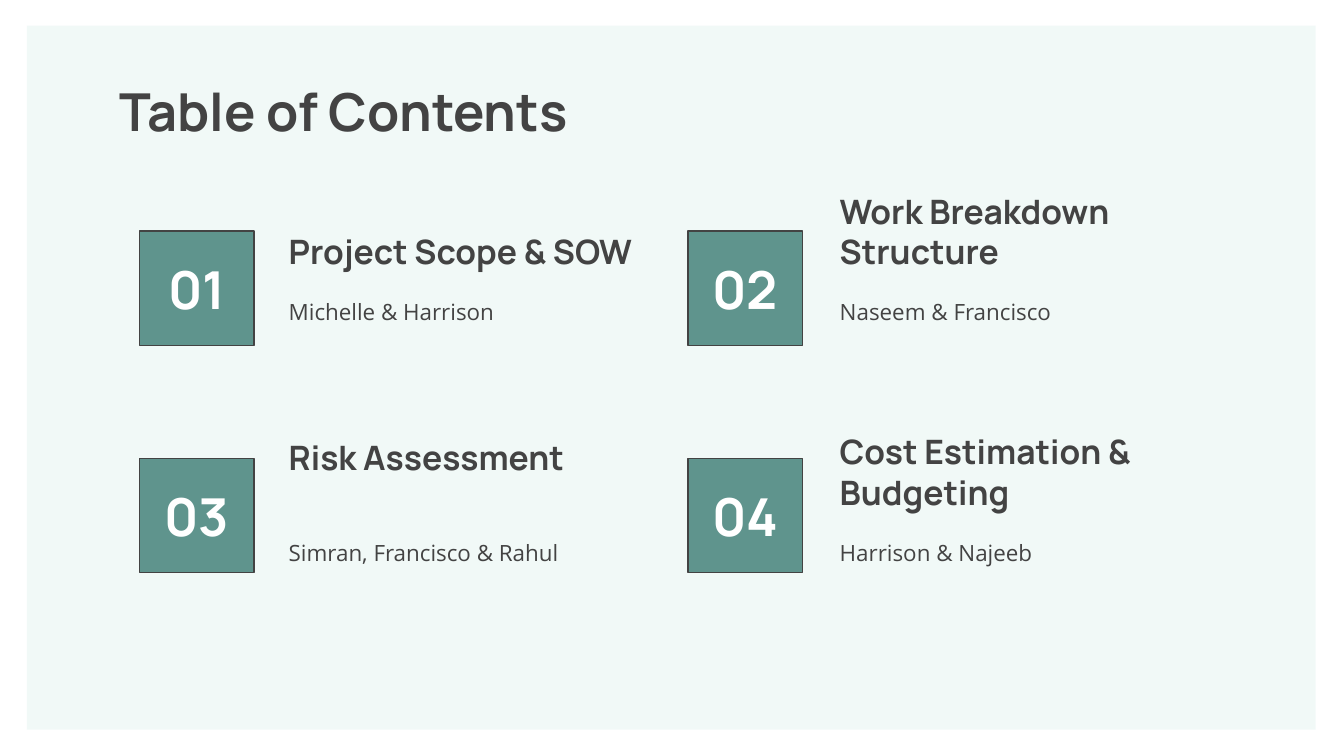
from lxml import etree
from pptx import Presentation
from pptx.dml.color import RGBColor
from pptx.enum.shapes import MSO_SHAPE
from pptx.enum.text import MSO_ANCHOR, PP_ALIGN
from pptx.oxml.ns import qn
from pptx.util import Inches, Pt

RECTANGLE = MSO_SHAPE.RECTANGLE
TOP, MIDDLE, BOTTOM = MSO_ANCHOR.TOP, MSO_ANCHOR.MIDDLE, MSO_ANCHOR.BOTTOM
LEFT, CENTER = PP_ALIGN.LEFT, PP_ALIGN.CENTER

COLORS = {"panel": "98D3C7", "badge": "5F948D", "ink": "434343", "white": "FFFFFF"}
HEADING_FONT, BODY_FONT = "Manrope", "Open Sans"

BADGE_SIZE = 0.85
TEXT_WIDTH = 2.83
NAMES_HEIGHT = 0.63
# Left edges of the badge and of the text in each column
COLUMNS = [(1.04, 2.05), (5.12, 6.15)]
# Top edges of the badge and of the names in each row
ROWS = [(1.72, 2.12), (3.41, 3.91)]
# Heading, names, heading height, and how far the heading is raised above the names
ENTRIES = [
    ("Project Scope & SOW", "Michelle & Harrison", 0.85, 0),
    ("Work Breakdown Structure", "Naseem & Francisco", 0.49, 0),
    ("Risk Assessment", "Simran, Francisco & Rahul", 0.77, 0.26),
    ("Cost Estimation & Budgeting", "Harrison & Najeeb", 0.77, 0),
]


def color(name):
    return RGBColor.from_string(COLORS[name])


def write(shape, text, size, font_name=HEADING_FONT, bold=True, color_name="ink",
          anchor=TOP, alignment=LEFT):
    frame = shape.text_frame
    frame.word_wrap = True
    frame.vertical_anchor = anchor
    frame.margin_left = frame.margin_right = Inches(0.1)
    frame.margin_top = frame.margin_bottom = Inches(0.1)
    frame.text = text
    paragraph = frame.paragraphs[0]
    paragraph.alignment = alignment
    font = paragraph.runs[0].font
    font.name, font.size, font.bold = font_name, Pt(size), bold
    font.color.rgb = color(color_name)


def add_text(slide, box, text, size, **style):
    shape = slide.shapes.add_textbox(*map(Inches, box))
    write(shape, text, size, **style)


def add_rectangle(slide, box, fill_name):
    shape = slide.shapes.add_shape(RECTANGLE, *map(Inches, box))
    shape.shadow.inherit = False
    shape.fill.solid()
    shape.fill.fore_color.rgb = color(fill_name)
    return shape


def add_panel(slide, box):
    """Add the pale background panel, 13 % opaque."""
    panel = add_rectangle(slide, box, "panel")
    panel.line.fill.background()
    fill_color = panel.fill._xPr.find(qn("a:solidFill"))[0]
    etree.SubElement(fill_color, qn("a:alpha"), val="13000")


def add_badge(slide, box, number):
    badge = add_rectangle(slide, box, "badge")
    badge.line.color.rgb = color("ink")
    badge.line.width = Pt(0.75)
    write(badge, f"{number:02d}", 28, color_name="white", anchor=MIDDLE, alignment=CENTER)


def add_entry_text(slide, left, names_top, heading, names, heading_height, lift):
    """Add a heading that ends above the names, and the names below it."""
    heading_top = names_top - lift - heading_height
    add_text(slide, (left, heading_top, TEXT_WIDTH, heading_height), heading, 18,
             anchor=BOTTOM)
    add_text(slide, (left, names_top, TEXT_WIDTH, NAMES_HEIGHT), names, 12,
             font_name=BODY_FONT, bold=False)


def add_contents(slide):
    for index, entry in enumerate(ENTRIES):
        row, column = divmod(index, len(COLUMNS))
        badge_left, text_left = COLUMNS[column]
        badge_top, names_top = ROWS[row]
        add_badge(slide, (badge_left, badge_top, BADGE_SIZE, BADGE_SIZE), index + 1)
        add_entry_text(slide, text_left, names_top, *entry)


def main():
    presentation = Presentation()
    presentation.slide_width = Inches(10)
    presentation.slide_height = Inches(10) * 9 // 16
    slide = presentation.slides.add_slide(presentation.slide_layouts[6])
    add_panel(slide, (0.2, 0.19, 9.59, 5.24))
    add_text(slide, (0.79, 0.49, 8.43, 0.63), "Table of Contents", 28)
    add_contents(slide)
    presentation.save("out.pptx")


if __name__ == "__main__":
    main()
